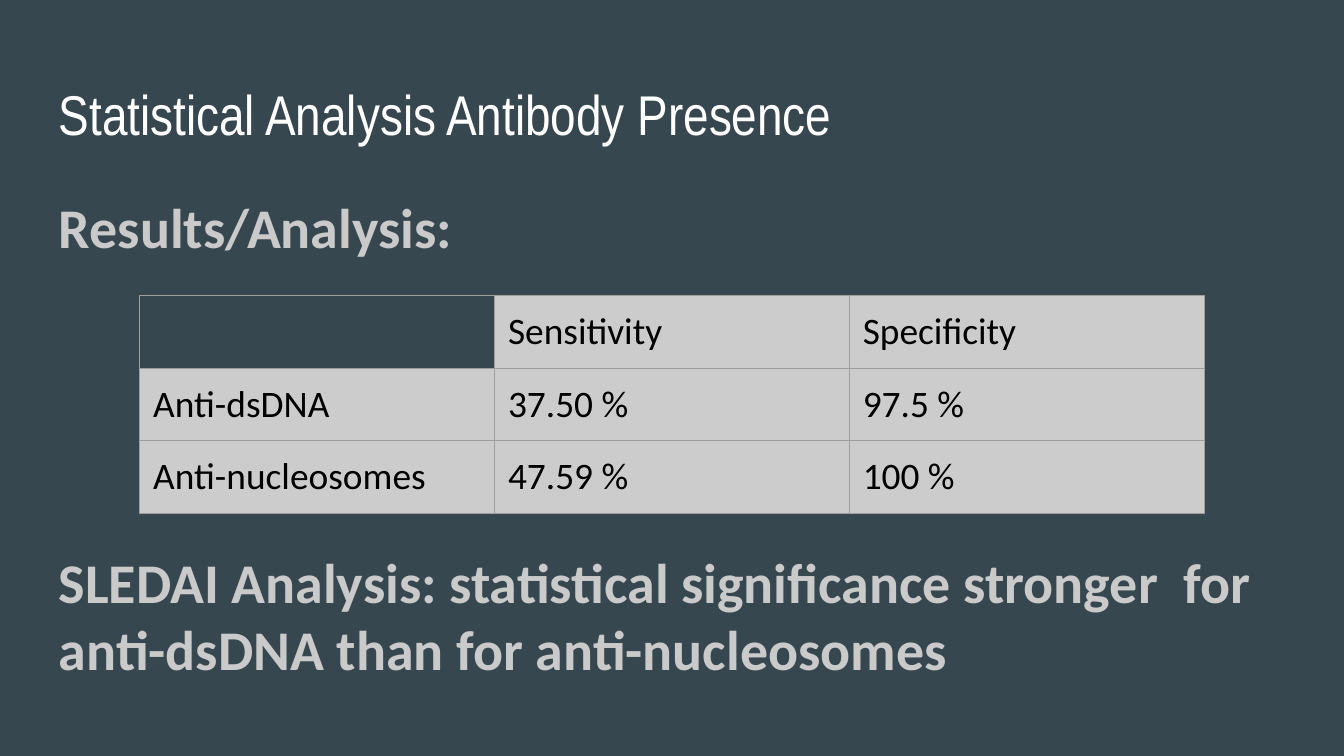
from lxml.etree import SubElement
from pptx import Presentation
from pptx.dml.color import RGBColor
from pptx.oxml.ns import qn
from pptx.util import Inches, Pt

# Content
TITLE = "Statistical Analysis Antibody Presence"
HEADING = "Results/Analysis:"
CONCLUSION = "SLEDAI Analysis: statistical significance stronger  for anti-dsDNA than for anti-nucleosomes"
RESULTS = [
    ["", "Sensitivity", "Specificity"],
    ["Anti-dsDNA", "37.50 %", "97.5 %"],
    ["Anti-nucleosomes", "47.59 %", "100 %"],
]
# Text boxes: top, height, font, colour, bold, paragraphs (text, line spacing, space before)
TEXTS = [
    (0.49, 0.63, "Arial Narrow", "FFFFFF", False, [(TITLE, 1.0, 0)]),
    (1.26, 3.74, "Calibri", "CACACA", True, [(HEADING, 1.15, 0), (CONCLUSION, 1.0, 154)]),
]
SLIDE_W = 10
COL_W, ROW_H = 2.64, 0.54


def rgb(value):
    return RGBColor.from_string(value)


def style(p, font, size, color, bold=False):
    p.font.name = font
    p.font.size = Pt(size)
    p.font.bold = bold
    p.font.color.rgb = rgb(color)


def set_margins(target):
    for side in ("left", "top", "right", "bottom"):
        setattr(target, f"margin_{side}", Inches(0.1))


def add_borders(cell, color, width):
    """Insert the four border lines ahead of the cell's fill."""
    tcPr = cell._tc.get_or_add_tcPr()
    for i, side in enumerate(("lnL", "lnR", "lnT", "lnB")):
        ln = SubElement(tcPr, qn(f"a:{side}"), w=str(Pt(width)))
        fill = SubElement(ln, qn("a:solidFill"))
        SubElement(fill, qn("a:srgbClr"), val=color)
        tcPr.insert(i, ln)


# Widescreen 16:9 slide
prs = Presentation()
prs.slide_width, prs.slide_height = Inches(SLIDE_W), Inches(SLIDE_W * 9 / 16)
s = prs.slides.add_slide(prs.slide_layouts[6])
s.background.fill.solid()
s.background.fill.fore_color.rgb = rgb("37474F")

# Title and body; the space before the conclusion leaves room for the table
for top, height, font, color, bold, paragraphs in TEXTS:
    tf = s.shapes.add_textbox(Inches(0.34), Inches(top), Inches(9.32), Inches(height)).text_frame
    tf.word_wrap = True
    set_margins(tf)
    for i, (text, spacing, before) in enumerate(paragraphs):
        p = tf.add_paragraph() if i else tf.paragraphs[0]
        p.text = text
        p.line_spacing = spacing
        p.space_before = Pt(before)
        style(p, font, 30, color, bold)

# Results table
rows, cols = len(RESULTS), len(RESULTS[0])
table = s.shapes.add_table(rows, cols, Inches(1.04), Inches(2.2),
                           Inches(COL_W * cols), Inches(ROW_H * rows)).table
table.first_row = table.horz_banding = False
for r, values in enumerate(RESULTS):
    for c, value in enumerate(values):
        cell = table.cell(r, c)
        set_margins(cell)
        p = cell.text_frame.paragraphs[0]
        p.text = value
        style(p, "Calibri", 20, "000000")
        if value:
            cell.fill.solid()
            cell.fill.fore_color.rgb = rgb("CCCCCC")
        else:
            cell.fill.background()
        add_borders(cell, "9E9E9E", 0.75)

prs.save("out.pptx")
